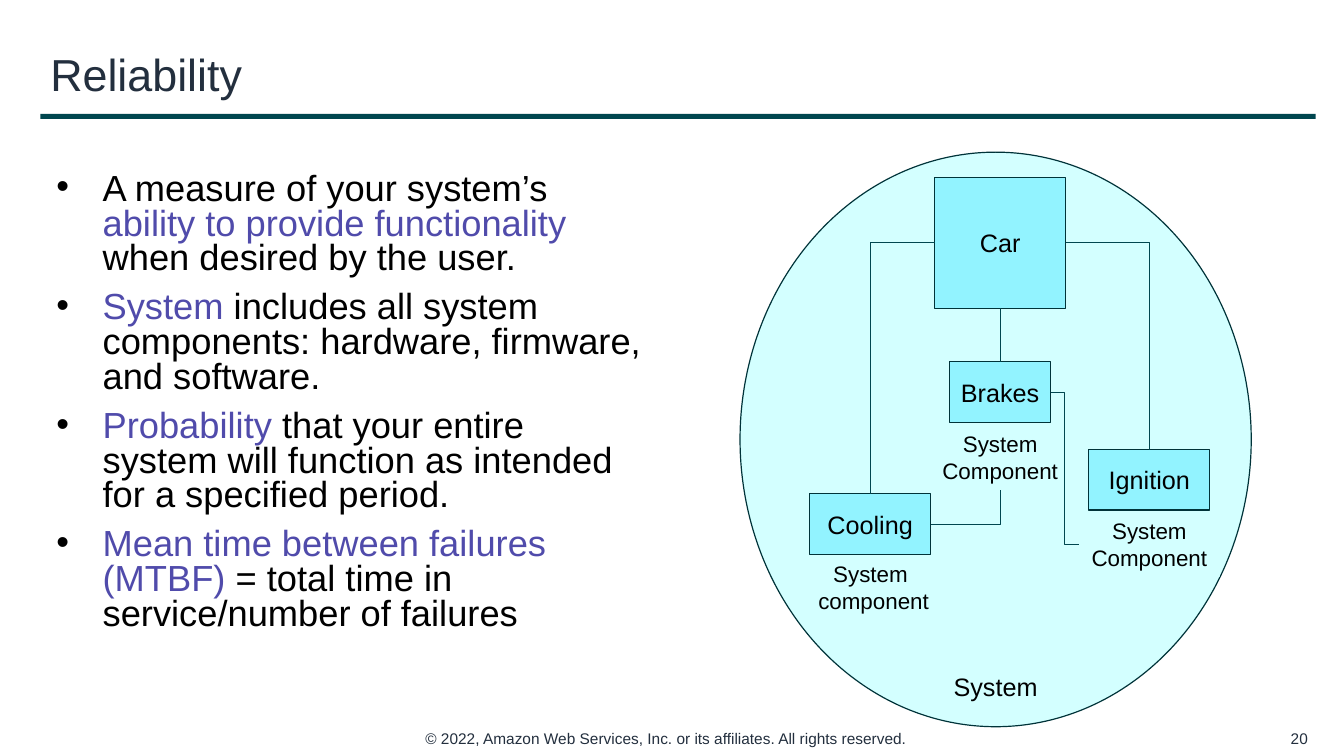
"""Build the Reliability slide with its car system diagram."""
import pptx
import pptx.dml.color
import pptx.enum.shapes
import pptx.enum.text
import pptx.oxml.ns
import pptx.util
from lxml import etree

Inches, Pt = pptx.util.Inches, pptx.util.Pt
Form = pptx.enum.shapes.MSO_SHAPE
Bend = pptx.enum.shapes.MSO_CONNECTOR
Align = pptx.enum.text.PP_ALIGN
Anchor = pptx.enum.text.MSO_ANCHOR

HUES = {
    "ink": "232F3E", "black": "000000", "key": "504BAB", "rule": "00464F",
    "edge": "003339", "pale": "D3FFFF", "box": "92F3FF",
}
TEXTS = [
    ((4.12, 7.18, 5.09, 0.29), 11, Align.LEFT, Anchor.TOP,
     "© 2022, Amazon Web Services, Inc. or its affiliates. All rights reserved."),
    ((12.54, 7.18, 0.53, 0.29), 11, Align.RIGHT, Anchor.MIDDLE, "20"),
    ((0.4, 0.33, 12.65, 0.8), 32, Align.LEFT, Anchor.MIDDLE, "Reliability"),
]
POINTS = [
    [("A measure of your system’s ", "black"),
     ("ability to provide functionality ", "key"),
     ("when desired by the user.", "black")],
    [("System", "key"),
     (" includes all system components: hardware, firmware, and software.", "black")],
    [("Probability", "key"),
     (" that your entire system will function as intended for a specified period.", "black")],
    [("Mean time between failures (MTBF) ", "key"),
     ("= total time in service/number of failures", "black")],
]
BOXES = {
    "Car": (9.27, 1.76, 1.3, 1.3),
    "Cooling": (8.03, 4.9, 1.2, 0.6),
    "Ignition": (10.8, 4.46, 1.2, 0.6),
    "Brakes": (9.42, 3.59, 1, 0.6),
}
LABELS = {
    "Cooling label": ((7.98, 5.51, 1.37, 0.64), 16, "System \vcomponent"),
    "Ignition label": ((10.7, 5.08, 1.4, 0.64), 16, "System\nComponent"),
    "Brakes label": ((9.22, 4.22, 1.4, 0.64), 16, "System\vComponent"),
    "System label": ((9.36, 6.61, 1.04, 0.4), 18, "System"),
}
LINKS = [
    ("Car", 2, "Brakes", 0, "line"),
    ("Car", 1, "Cooling", 0, "bentConnector2"),
    ("Car", 3, "Ignition", 0, "bentConnector2"),
    ("Cooling", 3, "Brakes label", 2, "bentConnector2"),
    ("Brakes", 3, "Ignition label", 1, "bentConnector3"),
]


def tint(name):
    return pptx.dml.color.RGBColor.from_string(HUES[name])


def assign(target, values):
    for key, value in values.items():
        setattr(target, key, value)


def style(font, size, hue):
    assign(font, {"name": "Arial", "size": Pt(size)})
    font.color.rgb = tint(hue)


def write(frame, text, size, hue, align, anchor):
    assign(frame, {"text": text, "word_wrap": True, "vertical_anchor": anchor})
    for para in frame.paragraphs:
        para.alignment = align
        for run in para.runs:
            style(run.font, size, hue)


def draw(slide, form, place, fill, edge=None):
    shape = slide.shapes.add_shape(form, *map(Inches, place))
    shape.shadow.inherit = False
    shape.fill.solid()
    shape.fill.fore_color.rgb = tint(fill)
    if edge:
        shape.line.color.rgb = tint(edge)
        shape.line.width = Pt(0.85)
    else:
        shape.line.fill.background()
    return shape


def add_points(slide):
    frame = slide.shapes.add_textbox(*map(Inches, (0.46, 1.67, 6.02, 5.08))).text_frame
    frame.word_wrap = True
    qn = pptx.oxml.ns.qn
    for index, parts in enumerate(POINTS):
        para = frame.add_paragraph() if index else frame.paragraphs[0]
        props = para._p.get_or_add_pPr()
        assign(para, {"line_spacing": 0.8, "space_before": Pt(10 if index else 0)})
        for key, inch in {"marL": 0.46, "indent": -0.46}.items():
            props.set(key, str(Inches(inch)))
        color = etree.SubElement(props, qn("a:buClr"))
        etree.SubElement(color, qn("a:srgbClr"), val=HUES["black"])
        etree.SubElement(props, qn("a:buFont"), typeface="Arial")
        etree.SubElement(props, qn("a:buChar"), char="•")
        for text, hue in parts:
            run = para.add_run()
            run.text = text
            style(run.font, 25.9, hue)


def add_graph(slide):
    draw(slide, Form.OVAL, (7.34, 1.51, 5.07, 5.7), "pale", "edge")
    nodes = {}
    for name, place in BOXES.items():
        nodes[name] = draw(slide, Form.RECTANGLE, place, "box", "edge")
        write(nodes[name].text_frame, name, 18, "black", Align.CENTER, Anchor.MIDDLE)
    for name, (place, size, text) in LABELS.items():
        nodes[name] = draw(slide, Form.RECTANGLE, place, "pale")
        align = Align.LEFT if name == "System label" else Align.CENTER
        write(nodes[name].text_frame, text, size, "black", align, Anchor.TOP)
    for start, out, end, into, form in LINKS:
        kind = Bend.STRAIGHT if form == "line" else Bend.ELBOW
        link = slide.shapes.add_connector(kind, 0, 0, 0, 0)
        link.begin_connect(nodes[start], out)
        link.end_connect(nodes[end], into)
        link.line.color.rgb = tint("rule")
        link.line.width = Pt(0.75)
        props = link.element.spPr
        props.find(pptx.oxml.ns.qn("a:prstGeom")).set("prst", form)
        etree.SubElement(props, pptx.oxml.ns.qn("a:effectLst"))


def main():
    deck = pptx.Presentation()
    assign(deck, {"slide_width": Inches(13.33), "slide_height": Inches(7.5)})
    slide = deck.slides.add_slide(deck.slide_layouts[6])
    draw(slide, Form.RECTANGLE, (0.4, 1.13, 12.65, 0.05), "rule")
    for place, size, align, anchor, text in TEXTS:
        box = slide.shapes.add_textbox(*map(Inches, place))
        write(box.text_frame, text, size, "ink", align, anchor)
    add_points(slide)
    add_graph(slide)
    deck.save("out.pptx")


if __name__ == "__main__":
    main()
